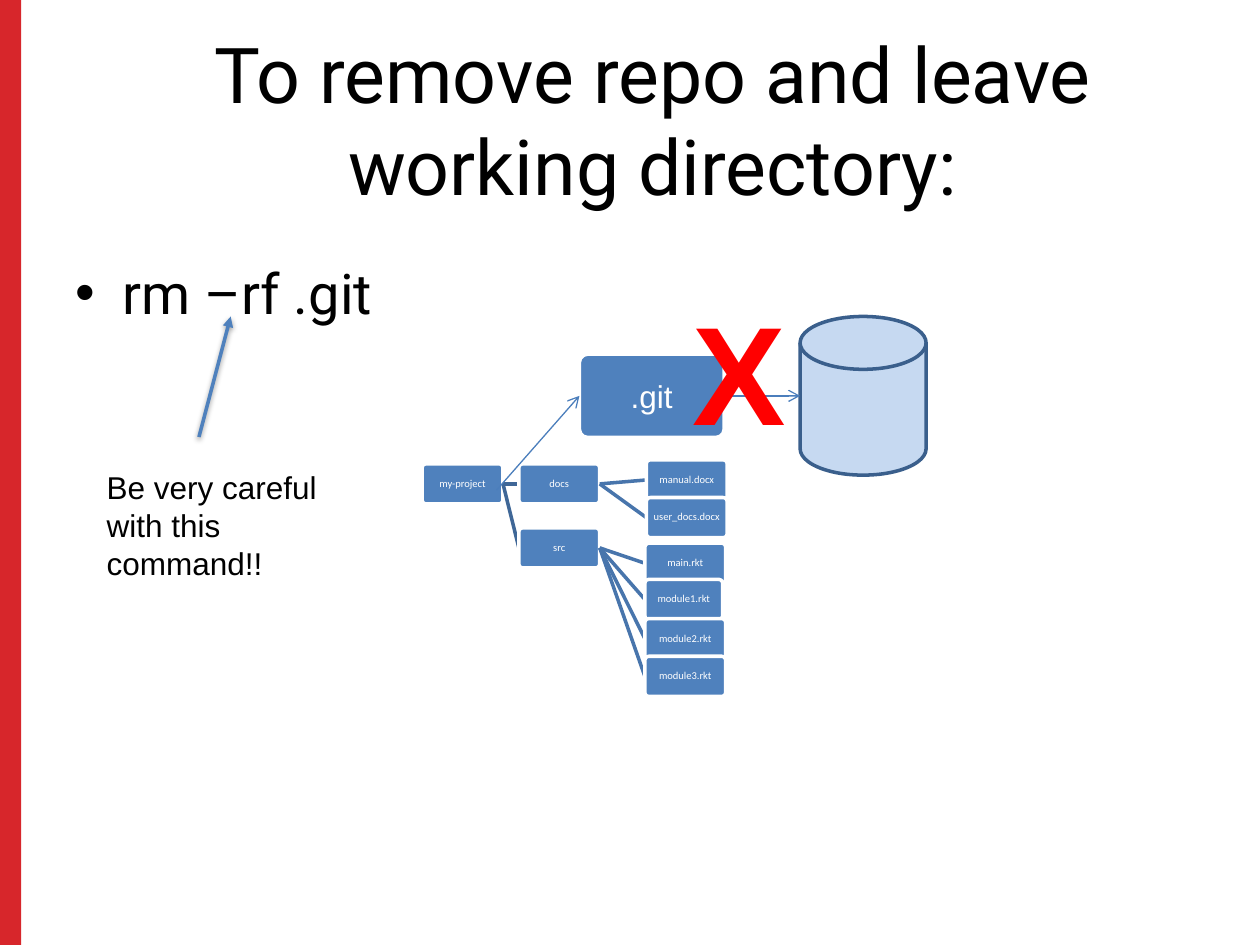
from dataclasses import dataclass

from lxml.etree import SubElement
from pptx import Presentation
from pptx.dml.color import RGBColor
from pptx.enum.shapes import MSO_CONNECTOR as Connector
from pptx.enum.shapes import MSO_SHAPE as Shape
from pptx.enum.text import MSO_ANCHOR as Anchor
from pptx.enum.text import PP_ALIGN as Align
from pptx.oxml.ns import qn
from pptx.util import Cm, Pt


@dataclass(frozen=True)
class Theme:
    bar: str = "D10006"
    ink: str = "000000"
    white: str = "FFFFFF"
    box: str = "4F81BD"
    arrow: str = "4B7EBC"
    trunk: str = "3F6797"
    branch: str = "4875AC"
    disk: str = "C6D9F1"
    disk_line: str = "3A5F8C"
    cross: str = "FF0000"
    display_font: str = "Roboto"
    text_font: str = "Arial"
    tree_font: str = "Calibri"
    title_size: int = 44
    body_size: int = 32
    note_size: int = 18
    tree_size: int = 6
    cross_size: int = 80


THEME = Theme()
LEFT, RIGHT = 1, 3  # connection sites of a rectangle

# name: (parent, left, top, width)
TREE = {
    "my-project": (None, 8.51, 9.35, 1.63),
    "docs": ("my-project", 10.46, 9.35, 1.63),
    "manual.docx": ("docs", 13.03, 9.27, 1.63),
    "user_docs.docx": ("docs", 13.03, 10.03, 1.63),
    "src": ("my-project", 10.46, 10.64, 1.63),
    "main.rkt": ("src", 13, 10.95, 1.63),
    "module1.rkt": ("src", 13, 11.68, 1.57),
    "module2.rkt": ("src", 13, 12.47, 1.63),
    "module3.rkt": ("src", 13, 13.23, 1.63),
}
NODE_HEIGHT = 0.81


def write_text(shape, text, *, size, font=THEME.text_font, color=THEME.ink, bold=False,
               align=Align.LEFT, anchor=Anchor.TOP, inset=None, spacing=None, bullet=None):
    frame = shape.text_frame
    frame.word_wrap = True
    frame.vertical_anchor = anchor
    if inset is not None:
        frame.margin_left = frame.margin_right = Cm(inset)
        frame.margin_top = frame.margin_bottom = Cm(inset)
    paragraph = frame.paragraphs[0]
    paragraph.text = text
    paragraph.alignment = align
    if spacing:
        paragraph.line_spacing = spacing
    if bullet:
        properties = paragraph._p.get_or_add_pPr()
        properties.set("marL", str(Cm(0.95)))
        properties.set("indent", str(Cm(-0.95)))
        SubElement(properties, qn("a:buFont"), typeface=THEME.text_font)
        SubElement(properties, qn("a:buChar"), char=bullet)
    run_font = paragraph.runs[0].font
    run_font.name = font
    run_font.size = Pt(size)
    run_font.bold = bold
    run_font.color.rgb = RGBColor.from_string(color)


def add_text(slide, text, box, **text_format):
    shape = slide.shapes.add_textbox(*map(Cm, box))
    write_text(shape, text, **text_format)


def add_block(slide, kind, box, fill, line=None):
    shape = slide.shapes.add_shape(kind, *map(Cm, box))
    shape.shadow.inherit = False
    shape.fill.solid()
    shape.fill.fore_color.rgb = RGBColor.from_string(fill)
    if line:
        shape.line.color.rgb = RGBColor.from_string(line)
        shape.line.width = Pt(2)
    else:
        shape.line.fill.background()
    return shape


def add_rounded_box(slide, text, box, **text_format):
    shape = add_block(slide, Shape.ROUNDED_RECTANGLE, box, THEME.box, THEME.white)
    shape.adjustments[0] = 0.1
    write_text(shape, text, color=THEME.white, align=Align.CENTER,
               anchor=Anchor.MIDDLE, **text_format)
    return shape


def add_line(slide, color, width, start=(0, 0), end=(0, 0), source=None, target=None,
             head=None, shadow=False):
    """Draw a line between points, or from source's right side to target's left side."""
    line = slide.shapes.add_connector(Connector.STRAIGHT, *map(Cm, (*start, *end)))
    if source is not None:
        line.begin_connect(source, RIGHT)
    if target is not None:
        line.end_connect(target, LEFT)
    line.line.color.rgb = RGBColor.from_string(color)
    line.line.width = Pt(width)
    if head:
        SubElement(line.line._get_or_add_ln(), qn("a:tailEnd"), type=head)
    effects = SubElement(line._element.spPr, qn("a:effectLst"))
    if shadow:
        outer = SubElement(effects, qn("a:outerShdw"), blurRad=str(Pt(3.1)),
                           dist=str(Pt(1.6)), dir="5400000", rotWithShape="0")
        shade = SubElement(outer, qn("a:srgbClr"), val=THEME.ink)
        SubElement(shade, qn("a:alpha"), val="38000")
    return line


def add_side_bar(slide):
    bar = add_block(slide, Shape.RECTANGLE, (-0.05, 0, 0.48, 19.05), THEME.bar)
    color = bar._element.spPr.find(qn("a:solidFill")).find(qn("a:srgbClr"))
    SubElement(color, qn("a:alpha"), val="85000")


def add_tree(slide):
    nodes = {}
    for name, (parent, left, top, width) in TREE.items():
        node = add_rounded_box(slide, name, (left, top, width, NODE_HEIGHT),
                               size=THEME.tree_size, font=THEME.tree_font,
                               inset=0, spacing=0.9)
        nodes[name] = node
        if parent:
            color = THEME.trunk if parent == "my-project" else THEME.branch
            branch = add_line(slide, color, 2, source=nodes[parent], target=node)
            node._element.addprevious(branch._element)  # keep the branch behind its node


def add_repository(slide):
    git = add_rounded_box(slide, ".git", (11.68, 7.14, 2.92, 1.68), size=THEME.note_size)
    add_block(slide, Shape.FLOWCHART_MAGNETIC_DISK, (16.13, 6.38, 2.54, 3.2),
              THEME.disk, THEME.disk_line)
    add_line(slide, THEME.arrow, 0.75, end=(16.13, 7.98), source=git, head="arrow")
    add_line(slide, THEME.arrow, 0.75, start=(10.01, 9.88), target=git, head="arrow")
    add_text(slide, "X", (13.72, 5.64, 2.97, 3.68), size=THEME.cross_size,
             color=THEME.cross, bold=True)


def add_warning(slide):
    add_line(slide, THEME.box, 2, start=(4.01, 8.81), end=(4.65, 6.38),
             head="triangle", shadow=True)
    add_text(slide, "Be very careful with this command!!", (1.9, 9.32, 5.51, 2.57),
             size=THEME.note_size)


def main():
    presentation = Presentation()
    presentation.slide_width, presentation.slide_height = Cm(25.4), Cm(19.05)
    slide = presentation.slides.add_slide(presentation.slide_layouts[6])
    add_side_bar(slide)
    add_text(slide, "To remove repo and leave working directory:", (1.9, 0.43, 22.53, 3.94),
             size=THEME.title_size, font=THEME.display_font,
             align=Align.CENTER, anchor=Anchor.MIDDLE)
    add_text(slide, "rm –rf .git", (1.27, 5.08, 23.16, 11.86),
             size=THEME.body_size, font=THEME.display_font, bullet="•")
    add_tree(slide)
    add_repository(slide)
    add_warning(slide)
    presentation.save("out.pptx")


if __name__ == "__main__":
    main()
